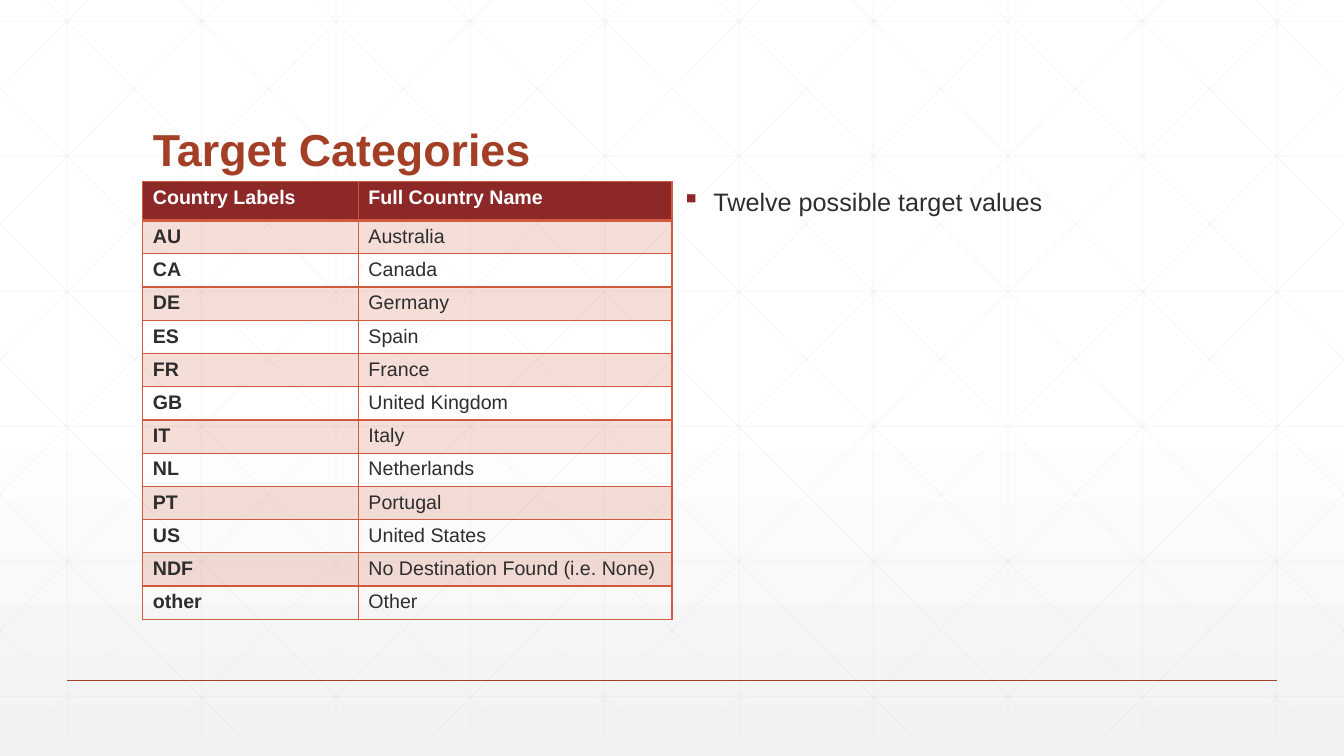
from typing import NamedTuple

from lxml import etree
from pptx import Presentation
from pptx.dml.color import RGBColor
from pptx.enum import shapes, text
from pptx.oxml import ns
from pptx.util import Pt

WHITE = RGBColor(0xFF, 0xFF, 0xFF)
PALE = RGBColor(0xF2, 0xF2, 0xF2)
GREY = RGBColor(0xD9, 0xD9, 0xD9)
RUST = RGBColor(0xA4, 0x3F, 0x27)
CORAL = RGBColor(0xD1, 0x5A, 0x3E)
WINE = RGBColor(0x8C, 0x28, 0x28)
INK = RGBColor(0x2D, 0x2E, 0x2D)
FONT = "Arial"
WIDE, HIGH = 960, 540
STEP, BASE, RISE, SLOPE = 96, 525, 15, 0.994


class Line(NamedTuple):
    x1: float
    y1: float
    x2: float
    y2: float
    color: RGBColor = GREY
    width: float = 0.5
    alpha: int = 25


class Row(NamedTuple):
    label: str
    name: str


ROWS = [
    Row("Country Labels", "Full Country Name"),
    Row("AU", "Australia"),
    Row("CA", "Canada"),
    Row("DE", "Germany"),
    Row("ES", "Spain"),
    Row("FR", "France"),
    Row("GB", "United Kingdom"),
    Row("IT", "Italy"),
    Row("NL", "Netherlands"),
    Row("PT", "Portugal"),
    Row("US", "United States"),
    Row("NDF", "No Destination Found (i.e. None)"),
    Row("other", "Other"),
]


def add(parent, tag: str, **attrs):
    return etree.SubElement(parent, ns.qn(tag), attrs)


def fade(node, alpha: int) -> None:
    """Set the opacity, in percent, of the colour inside node."""
    color = next(node.iter(ns.qn("a:srgbClr")))
    add(color, "a:alpha", val=str(alpha * 1000))


def style(para, size: int, color: RGBColor, bold: bool = False) -> None:
    font = para.font
    font.name, font.size, font.bold = FONT, Pt(size), bold
    font.color.rgb = color


def draw(slide, line: Line) -> None:
    ends = [Pt(n) for n in line[:4]]
    wire = slide.shapes.add_connector(shapes.MSO_CONNECTOR.STRAIGHT, *ends)
    wire.line.color.rgb = line.color
    wire.line.width = Pt(line.width)
    if line.alpha < 100:
        fade(wire.line._get_or_add_ln(), line.alpha)
    add(wire._element.spPr, "a:effectLst")


def slant(start: float) -> Line:
    """Falling diagonal from start above the slide, cut at the edges."""
    top = max(0, -start / SLOPE - RISE)
    end = min(BASE, (WIDE - start) / SLOPE - RISE)
    return Line(start + SLOPE * (top + RISE), top,
                start + SLOPE * (end + RISE), end)


def edge(cell, head: bool) -> None:
    props = cell._tc.get_or_add_tcPr()
    for spot, side in enumerate("LRTB"):
        width = 2 if head and side == "B" else 1
        rule = etree.Element(ns.qn(f"a:ln{side}"), w=str(Pt(width)))
        add(add(rule, "a:solidFill"), "a:srgbClr", val=str(CORAL))
        props.insert(spot, rule)


def fill(cell, row: int) -> None:
    if row and row % 2 == 0:
        cell.fill.background()
        return
    cell.fill.solid()
    cell.fill.fore_color.rgb = CORAL if row else WINE
    if row:
        fade(cell._tc.tcPr, 20)


deck = Presentation()
deck.slide_width, deck.slide_height = Pt(WIDE), Pt(HIGH)
slide = deck.slides.add_slide(deck.slide_layouts[5])

# Background
back = slide.background.fill
back.gradient()
back.gradient_angle = 270
for stop, place, color in zip(back.gradient_stops, (0.53, 1), (WHITE, PALE)):
    stop.position = place
    stop.color.rgb = color

# Grid and mirrored diagonals
falls = [slant(18 + STEP * i) for i in range(-5, 10)]
grid = [Line(48 + STEP * i, 0, 48 + STEP * i, BASE) for i in range(10)]
grid += [Line(0, 15 + 96.5 * i, WIDE, 15 + 96.5 * i) for i in range(6)]
grid += falls
grid += [Line(WIDE - f.x1, f.y1, WIDE - f.x2, f.y2) for f in falls]
for line in grid:
    draw(slide, line)
draw(slide, Line(48, 486, 912, 486, RUST, 1, 100))

# Title, above the grid
title = slide.shapes.title
slide.shapes._spTree.append(title._element)
title.left, title.top, title.width, title.height = map(Pt, (102, 39.6, 756, 90))
frame = title.text_frame
frame.text = "Target Categories"
frame.auto_size = text.MSO_AUTO_SIZE.NONE
frame.vertical_anchor = text.MSO_ANCHOR.BOTTOM
para = frame.paragraphs[0]
para.alignment = text.PP_ALIGN.LEFT
para.line_spacing = 0.9
style(para, 32, RUST, True)

# Country table
table = slide.shapes.add_table(
    len(ROWS), 2, Pt(102), Pt(129.6), Pt(378), Pt(316)).table
table.horz_banding = False
for col, width in zip(table.columns, (154, 224)):
    col.width = Pt(width)
for r, row in enumerate(ROWS):
    table.rows[r].height = Pt(23.75 if r else 28)
    for c, word in enumerate(row):
        cell = table.cell(r, c)
        cell.text = word
        style(cell.text_frame.paragraphs[0], 14,
              INK if r else WHITE, r == 0 or c == 0)
        fill(cell, r)
        edge(cell, r == 0)

# Bullet note
note = slide.shapes.add_textbox(Pt(480), Pt(129.6), Pt(274.5), Pt(29))
frame = note.text_frame
frame.text = "Twelve possible target values"
frame.word_wrap = False
frame.auto_size = text.MSO_AUTO_SIZE.SHAPE_TO_FIT_TEXT
para = frame.paragraphs[0]
style(para, 18, INK)
props = para._p.get_or_add_pPr()
props.set("marL", str(Pt(22.5)))
props.set("indent", str(Pt(-22.5)))
mark = etree.Element(ns.qn("a:buClr"))
add(mark, "a:srgbClr", val=str(WINE))
props.insert(0, mark)
props.insert(1, etree.Element(ns.qn("a:buChar"), char="▪"))

deck.save("out.pptx")
